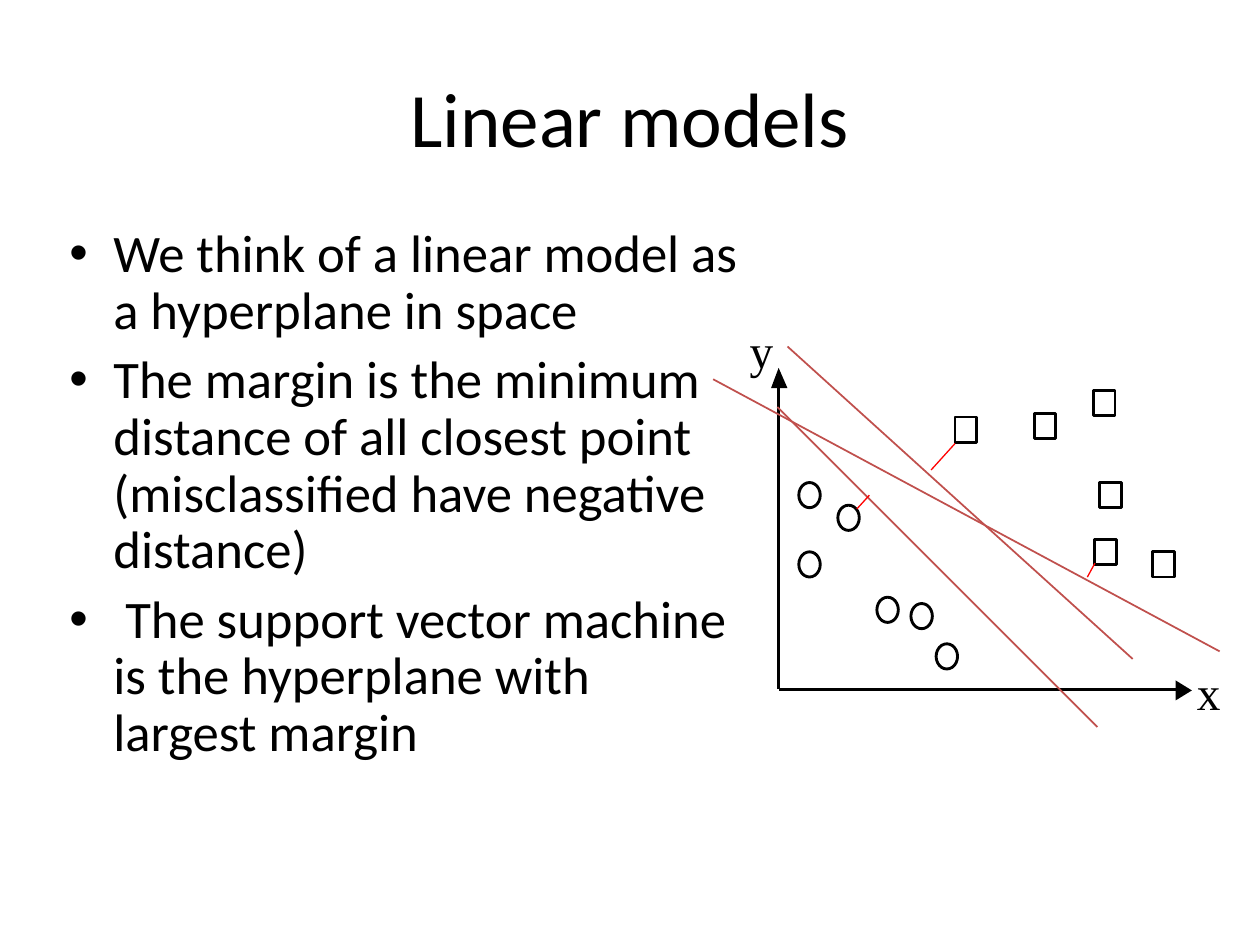
from lxml import etree
from pptx import Presentation
from pptx.dml.color import RGBColor
from pptx.enum import shapes, text
from pptx.oxml import ns
from pptx.util import Inches, Pt

BLACK = RGBColor(0x00, 0x00, 0x00)
WHITE = RGBColor(0xFF, 0xFF, 0xFF)
BRICK = RGBColor(0xC0, 0x50, 0x4D)
RED = RGBColor(0xFF, 0x00, 0x00)

# Content
TITLE = "Linear models"
POINTS = [
    "We think of a linear model as a hyperplane in space",
    "The margin is the minimum distance of all closest point "
    "(misclassified have negative distance)",
    " The support vector machine is the hyperplane with largest margin",
]
AXIS_LABELS = [("y", 5.95, 2.55), ("x", 9.5, 5.26)]

# Plot: top left corners of the markers, end points of the lines
CIRCLES = [(7.23, 4.79), (6.34, 4.38), (6.34, 3.83), (6.96, 4.74),
           (7.43, 5.11), (6.65, 4.01)]
SQUARES = [(7.58, 3.31), (8.69, 4.28), (8.21, 3.28), (8.68, 3.1),
           (9.15, 4.38), (8.73, 3.83)]
MARKER_W, MARKER_H, RIM = 0.17, 0.2, 0.01
AXES = [(6.18, 5.47, 6.18, 3.07), (6.18, 5.47, 9.33, 5.47)]
ARROWHEADS = [[(6.25, 3.08), (6.18, 2.92), (6.12, 3.08)],
              [(9.33, 5.56), (9.46, 5.48), (9.33, 5.4)]]
HYPERPLANES = [(6.25, 2.75, 8.99, 5.23), (6.17, 3.23, 8.71, 5.77),
               (5.66, 3.01, 9.68, 5.17)]
MARGINS = [(6.8, 4.04, 6.9, 3.93), (8.63, 4.58, 8.69, 4.47),
           (7.39, 3.73, 7.58, 3.52)]

# Formats
BULLET_FORMAT = {"line_spacing": 0.9, "space_before": Pt(7)}
BULLET_INDENT = Inches(0.35)

prs = Presentation()
prs.slide_width, prs.slide_height = Inches(10), Inches(7.5)
slide = prs.slides.add_slide(prs.slide_layouts[6])


def add_text(lines, box, size, font="Calibri", inset=0.05, wrap=True,
             anchor=text.MSO_ANCHOR.TOP, align=text.PP_ALIGN.LEFT):
    frame = slide.shapes.add_textbox(*map(Inches, box)).text_frame
    settings = {"word_wrap": wrap, "vertical_anchor": anchor}
    for side in ("left", "top", "right", "bottom"):
        settings["margin_" + side] = Inches(inset)
    for name, value in settings.items():
        setattr(frame, name, value)
    frame.text = "\n".join(lines)
    for paragraph in frame.paragraphs:
        paragraph.alignment = align
        run_font = paragraph.runs[0].font
        run_font.name, run_font.size = font, Pt(size)
        run_font.color.rgb = BLACK
    return frame


def add_bullet(paragraph):
    for name, value in BULLET_FORMAT.items():
        setattr(paragraph, name, value)
    props = paragraph._p.get_or_add_pPr()
    props.set("marL", str(BULLET_INDENT))
    props.set("indent", str(-BULLET_INDENT))
    etree.SubElement(props, ns.qn("a:buFont")).set("typeface", "Arial")
    etree.SubElement(props, ns.qn("a:buChar")).set("char", "•")


def paint(shape, fill=None, line=None):
    shape.shadow.inherit = False
    for part, color in ((shape.fill, fill), (shape.line.fill, line)):
        if color is None:
            part.background()
        else:
            part.solid()
            part.fore_color.rgb = color
    if line is not None:
        shape.line.width = Pt(1.63)


def add_marker(kind, left, top):
    face = (left + RIM, top + RIM, MARKER_W - 2 * RIM, MARKER_H - 2 * RIM)
    outline = (left, top, MARKER_W, MARKER_H)
    paint(slide.shapes.add_shape(kind, *map(Inches, face)), fill=WHITE)
    paint(slide.shapes.add_shape(kind, *map(Inches, outline)), line=BLACK)


def add_lines(ends, color, width):
    for end in ends:
        line = slide.shapes.add_connector(shapes.MSO_CONNECTOR.STRAIGHT,
                                          *map(Inches, end))
        line.line.color.rgb = color
        line.line.width = Pt(width)
        etree.SubElement(line._element.spPr, ns.qn("a:effectLst"))


# Title and bullets
add_text([TITLE], (0.5, 0.3, 9, 1.25), 44,
         anchor=text.MSO_ANCHOR.MIDDLE, align=text.PP_ALIGN.CENTER)
for point in add_text(POINTS, (0.5, 1.75, 5.45, 4.95), 30.1).paragraphs:
    add_bullet(point)

# Axis labels
for label, left, top in AXIS_LABELS:
    add_text([label], (left, top, 0.2, 0.41), 27, "Times New Roman",
             inset=0, wrap=False)

# Two classes of points
for kind, corners in ((shapes.MSO_SHAPE.OVAL, CIRCLES),
                      (shapes.MSO_SHAPE.RECTANGLE, SQUARES)):
    for corner in corners:
        add_marker(kind, *corner)

# Axes with their arrowheads
add_lines(AXES, BLACK, 1.63)
for start, *others in ARROWHEADS:
    builder = slide.shapes.build_freeform(*map(Inches, start), scale=1.0)
    builder.add_line_segments([tuple(map(Inches, p)) for p in others])
    paint(builder.convert_to_shape(), fill=BLACK)

# Hyperplanes and margins
add_lines(HYPERPLANES, BRICK, 1)
add_lines(MARGINS, RED, 0.75)

prs.save("out.pptx")
